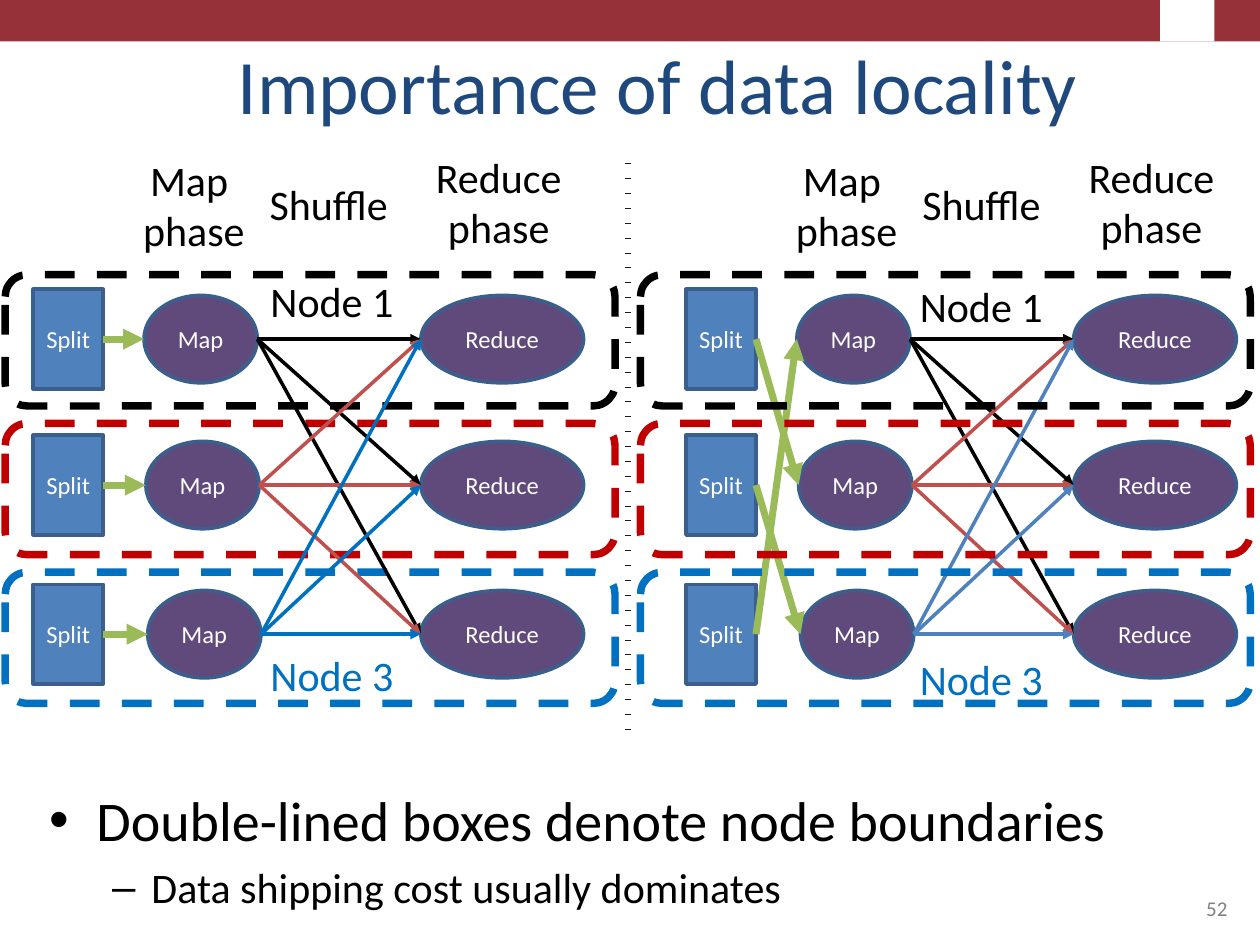
from lxml.etree import SubElement
from pptx import Presentation
from pptx.dml.color import RGBColor as RGB
from pptx.enum.dml import MSO_LINE, MSO_PATTERN
from pptx.enum.shapes import MSO_CONNECTOR, MSO_SHAPE as SHAPE
from pptx.enum.text import MSO_ANCHOR as ANCHOR, MSO_AUTO_SIZE as AUTO, PP_ALIGN as ALIGN
from pptx.oxml.ns import qn
from pptx.util import Pt

COLORS = {
    "banner": "963237", "title": "1F497D", "page": "808080", "edge": "3A5F8C",
    "split": "4F81BD", "stage": "604A7B", "input": "9BBB59", "brick": "1E1C11",
    "black": "000000", "white": "FFFFFF", "red": "C00000", "blue": "0070C0",
    "soft_red": "C0504D", "soft_blue": "4F81BD",
}
FONT = "Calibri"

TITLE = "Importance of data locality"
BULLETS = [
    ("Double-lined boxes denote node boundaries", 32, "•", 27, 27, 0),
    ("Data shipping cost usually dominates", 24, "–", 58.5, 22.5, 4.8),
]
PAGE = "52"
HEADERS = [
    (["Map ", "phase"], 74, 84.5, 73.5, ALIGN.CENTER),
    (["Shuffle"], 147, 98.5, 89, ALIGN.LEFT),
    (["Reduce", "phase"], 241.5, 83, 87, ALIGN.CENTER),
]
NODE_COLORS = ["black", "red", "blue"]
NODE_LABELS = [("Node 1", "black", 154), ("Node 3", "blue", 367.5)]
ROWS = [193.8, 277.2, 362.4]
PANELS = [
    {"dx": 0, "node_x": 3, "label_x": 147.5, "label_dy": 0, "sources": (0, 1, 2),
     "shuffle": ["black", "soft_red", "blue"], "nodes_behind": True},
    {"dx": 373, "node_x": 366, "label_x": 518.5, "label_dy": 2.5, "sources": (2, 0, 1),
     "shuffle": ["black", "soft_red", "soft_blue"], "nodes_behind": False},
]
STAGES = {
    "Split": (SHAPE.RECTANGLE, "split", 19, 40, 57),
    "Map": (SHAPE.OVAL, "stage", 82.3, 64.8, 50),
    "Reduce": (SHAPE.OVAL, "stage", 240.5, 93, 50),
}
MAP_STEP = 1.05
NODE_TOP, NODE_PITCH, NODE_W, NODE_H = 157, 85, 348.5, 75

prs = Presentation()
prs.slide_width, prs.slide_height = Pt(720), Pt(540)
s = prs.slides.add_slide(prs.slide_layouts[6])


def rgb(name):
    return RGB.from_string(COLORS[name])


def set_attrs(obj, **values):
    for name, value in values.items():
        setattr(obj, name, value)


def write(p, text, size, color, align):
    r = p.add_run()
    r.text = text
    set_attrs(r.font, name=FONT, size=Pt(size))
    r.font.color.rgb = rgb(color)
    p.alignment = align


def add_text(lines, x, y, w, h, size, color="black", align=ALIGN.LEFT, **frame):
    tf = s.shapes.add_textbox(Pt(x), Pt(y), Pt(w), Pt(h)).text_frame
    set_attrs(tf, **{"word_wrap": True, **frame})
    for i, line in enumerate(lines):
        p = tf.add_paragraph() if i else tf.paragraphs[0]
        write(p, line, size, color, align)
    return tf


def add_shape(kind, x, y, w, h, fill=None, line=None, weight=2):
    sp = s.shapes.add_shape(kind, Pt(x), Pt(y), Pt(w), Pt(h))
    sp.shadow.inherit = False
    if fill:
        sp.fill.solid()
        sp.fill.fore_color.rgb = rgb(fill)
    else:
        sp.fill.background()
    if line:
        sp.line.color.rgb = rgb(line)
        sp.line.width = Pt(weight)
    else:
        sp.line.fill.background()
    return sp


def add_arrow(x1, y1, x2, y2, color, weight):
    c = s.shapes.add_connector(MSO_CONNECTOR.STRAIGHT, Pt(x1), Pt(y1), Pt(x2), Pt(y2))
    c.line.color.rgb = rgb(color)
    c.line.width = Pt(weight)
    SubElement(c.line._get_or_add_ln(), qn("a:tailEnd"), type="triangle")
    SubElement(c._element.spPr, qn("a:effectLst"))


def add_stage(name, row, dx):
    kind, fill, x, w, h = STAGES[name]
    x += dx + (row * MAP_STEP if name == "Map" else 0)
    sp = add_shape(kind, x, ROWS[row] - h / 2, w, h, fill, "edge")
    tf = sp.text_frame
    set_attrs(tf, margin_left=0, margin_right=0, vertical_anchor=ANCHOR.MIDDLE, word_wrap=True)
    write(tf.paragraphs[0], name, 14, "white", ALIGN.CENTER)
    return x, x + w


def add_nodes(x):
    for i, color in enumerate(NODE_COLORS):
        sp = add_shape(SHAPE.ROUNDED_RECTANGLE, x, NODE_TOP + i * NODE_PITCH,
                       NODE_W, NODE_H, None, color, 4.25)
        sp.line.dash_style = MSO_LINE.DASH


def add_panel(panel):
    dx = panel["dx"]
    if panel["nodes_behind"]:
        add_nodes(panel["node_x"])
    edges = {name: [add_stage(name, row, dx) for row in range(len(ROWS))] for name in STAGES}
    for row, source in enumerate(panel["sources"]):
        add_arrow(edges["Split"][source][1], ROWS[source],
                  edges["Map"][row][0], ROWS[row], "input", 4)
    for row, color in enumerate(panel["shuffle"]):
        for target, y in enumerate(ROWS):
            add_arrow(edges["Map"][row][1], ROWS[row], edges["Reduce"][target][0], y, color, 2)
    if not panel["nodes_behind"]:
        add_nodes(panel["node_x"])
    fit = {"word_wrap": False, "auto_size": AUTO.SHAPE_TO_FIT_TEXT}
    for lines, x, y, w, align in HEADERS:
        add_text(lines, x + dx, y, w, 65.5, 24, align=align, **fit)
    for text, color, y in NODE_LABELS:
        add_text([text], panel["label_x"], y + panel["label_dy"], 85.5, 36, 24, color, **fit)


add_shape(SHAPE.RECTANGLE, 0, 0, 720, 23.75, "banner")
add_shape(SHAPE.RECTANGLE, 663, 0, 31, 23.75, "white")
add_text([TITLE], 52, 15, 648, 62.5, 44, "title", ALIGN.CENTER, vertical_anchor=ANCHOR.BOTTOM)

for panel in PANELS:
    add_panel(panel)

divider = add_shape(SHAPE.RECTANGLE, 357, 85, 3.6, 332.5)
divider.fill.patterned()
divider.fill.pattern = MSO_PATTERN.HORIZONTAL_BRICK
divider.fill.fore_color.rgb = rgb("brick")
divider.fill.back_color.rgb = rgb("white")

tf = add_text([], 21, 445.5, 648, 88, 32)
for i, (text, size, mark, left, hanging, before) in enumerate(BULLETS):
    p = tf.add_paragraph() if i else tf.paragraphs[0]
    p.level = i
    p.space_before = Pt(before)
    pPr = p._p.get_or_add_pPr()
    pPr.set("marL", str(Pt(left)))
    pPr.set("indent", str(-Pt(hanging)))
    SubElement(pPr, qn("a:buFont"), typeface="Arial")
    SubElement(pPr, qn("a:buChar"), char=mark)
    write(p, text, size, "black", ALIGN.LEFT)

add_text([PAGE], 516, 492, 192.5, 37.5, 12, "page", ALIGN.RIGHT, vertical_anchor=ANCHOR.BOTTOM)

prs.save("out.pptx")
